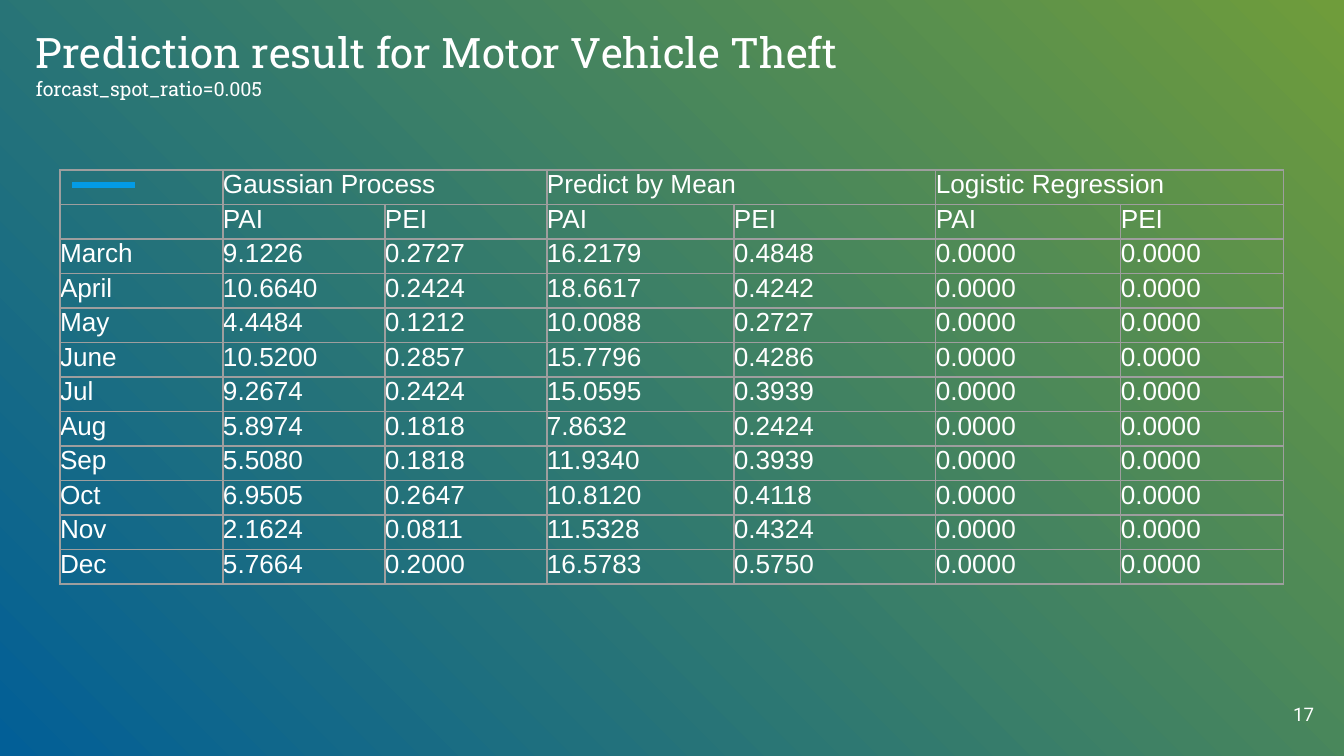
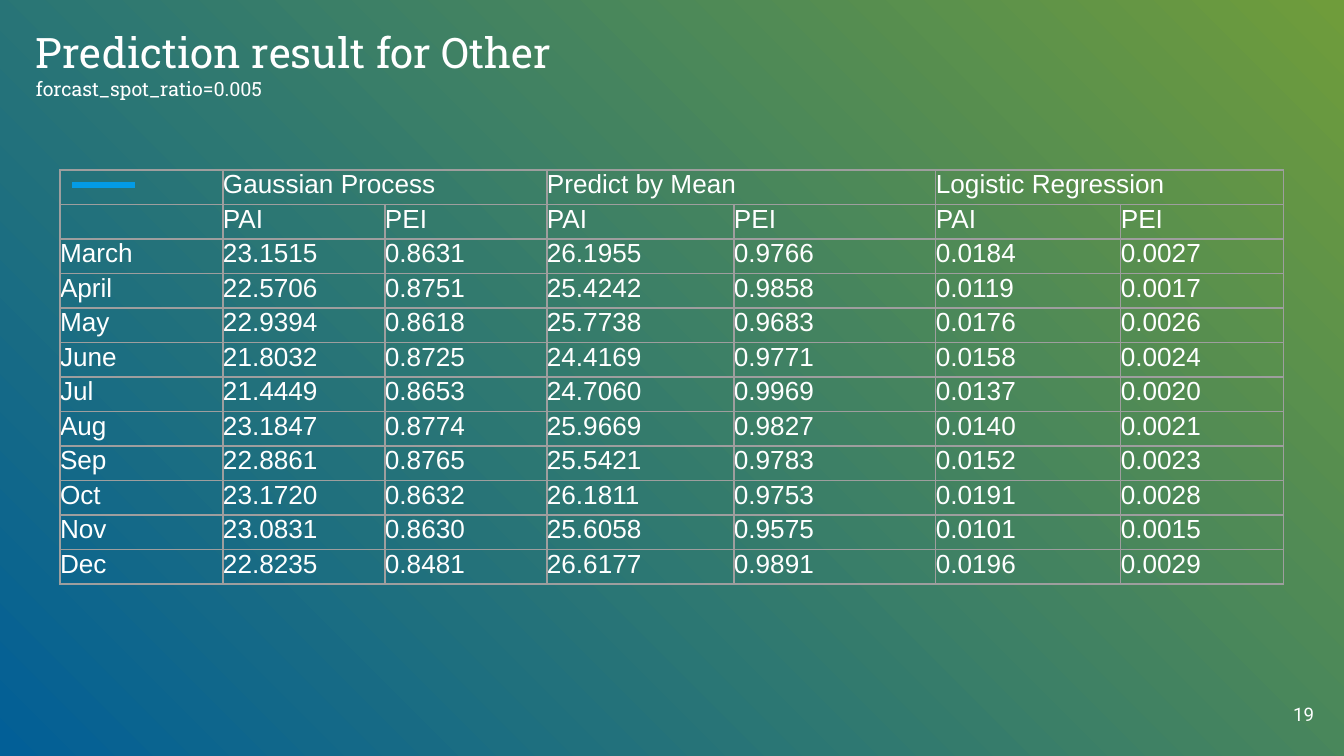
from lxml.etree import SubElement
from pptx import Presentation
from pptx.dml.color import RGBColor
from pptx.enum.shapes import MSO_CONNECTOR
from pptx.enum.text import MSO_ANCHOR, MSO_AUTO_SIZE, PP_ALIGN
from pptx.oxml.ns import qn
from pptx.util import Pt

EMU_PER_PX = 914400 / 134.4
COLUMN_WIDTHS = [163, 162, 162, 187, 202, 185, 163]
METHODS = ["Gaussian Process", "Predict by Mean", "Logistic Regression"]
MONTHS = ["March", "April", "May", "June", "Jul", "Aug", "Sep", "Oct", "Nov", "Dec"]

THEFT_SCORES = """
9.1226 0.2727 16.2179 0.4848 0.0000 0.0000
10.6640 0.2424 18.6617 0.4242 0.0000 0.0000
4.4484 0.1212 10.0088 0.2727 0.0000 0.0000
10.5200 0.2857 15.7796 0.4286 0.0000 0.0000
9.2674 0.2424 15.0595 0.3939 0.0000 0.0000
5.8974 0.1818 7.8632 0.2424 0.0000 0.0000
5.5080 0.1818 11.9340 0.3939 0.0000 0.0000
6.9505 0.2647 10.8120 0.4118 0.0000 0.0000
2.1624 0.0811 11.5328 0.4324 0.0000 0.0000
5.7664 0.2000 16.5783 0.5750 0.0000 0.0000
"""

OTHER_SCORES = """
23.1515 0.8631 26.1955 0.9766 0.0184 0.0027
22.5706 0.8751 25.4242 0.9858 0.0119 0.0017
22.9394 0.8618 25.7738 0.9683 0.0176 0.0026
21.8032 0.8725 24.4169 0.9771 0.0158 0.0024
21.4449 0.8653 24.7060 0.9969 0.0137 0.0020
23.1847 0.8774 25.9669 0.9827 0.0140 0.0021
22.8861 0.8765 25.5421 0.9783 0.0152 0.0023
23.1720 0.8632 26.1811 0.9753 0.0191 0.0028
23.0831 0.8630 25.6058 0.9575 0.0101 0.0015
22.8235 0.8481 26.6177 0.9891 0.0196 0.0029
"""


def px(length):
    return round(length * EMU_PER_PX)


def color(hex_string):
    return RGBColor.from_string(hex_string)


class ResultDeck:
    white, accent, grid = "FFFFFF", "039BE5", "9E9E9E"
    gradient = ["025F97", "6F9C3B"]
    title_font, number_font, table_font = "Roboto Slab", "Roboto", "Arial"

    def __init__(self):
        self.deck = Presentation()
        self.deck.slide_width = px(1344)
        self.deck.slide_height = px(756)
        self.slide = None

    def start_slide(self):
        self.slide = self.deck.slides.add_slide(self.deck.slide_layouts[6])
        fill = self.slide.background.fill
        fill.gradient()
        fill.gradient_angle = 45
        for stop, shade in zip(fill.gradient_stops, self.gradient):
            stop.color.rgb = color(shade)

    def run(self, paragraph, text, font, size):
        run = paragraph.add_run()
        run.text = text
        run.font.name = font
        run.font.size = Pt(size)
        run.font.color.rgb = color(self.white)

    def text_frame(self, left, top, width, height, anchor):
        box = self.slide.shapes.add_textbox(px(left), px(top), px(width), px(height))
        frame = box.text_frame
        frame.margin_left = frame.margin_right = px(13)
        frame.margin_top = frame.margin_bottom = px(13)
        frame.vertical_anchor = anchor
        frame.word_wrap = True
        return frame

    def accent_line(self):
        dash = self.slide.shapes.add_connector(
            MSO_CONNECTOR.STRAIGHT, px(72), px(185), px(135), px(185))
        dash.line.color.rgb = color(self.accent)
        dash.line.width = Pt(3)
        SubElement(dash._element.spPr, qn("a:effectLst"))

    def title(self, heading, subtitle):
        frame = self.text_frame(23, 12, 1230, 101, MSO_ANCHOR.BOTTOM)
        self.run(frame.paragraphs[0], heading, self.title_font, 22.5)
        self.run(frame.add_paragraph(), subtitle, self.title_font, 10.5)

    def page_number(self, number):
        frame = self.text_frame(1277, 689, 50, 50, MSO_ANCHOR.MIDDLE)
        frame.word_wrap = False
        frame.auto_size = MSO_AUTO_SIZE.SHAPE_TO_FIT_TEXT
        frame.paragraphs[0].alignment = PP_ALIGN.RIGHT
        self.run(frame.paragraphs[0], str(number), self.number_font, 10)

    def cell(self, cell, text):
        cell.margin_left = cell.margin_right = 0
        cell.margin_top = cell.margin_bottom = 0
        properties = cell._tc.get_or_add_tcPr()
        for side in "LRTB":
            border = SubElement(properties, qn(f"a:ln{side}"), w=str(Pt(0.75)))
            solid = SubElement(border, qn("a:solidFill"))
            SubElement(solid, qn("a:srgbClr"), val=self.grid)
        cell.fill.background()
        paragraph = cell.text_frame.paragraphs[0]
        if text:
            self.run(paragraph, text, self.table_font, 14)
        else:
            SubElement(paragraph._p, qn("a:endParaRPr"), sz="1400")

    def score_table(self, scores):
        method_row = [""]
        for method in METHODS:
            method_row += [method, ""]
        rows = [method_row, [""] + ["PAI", "PEI"] * len(METHODS)]
        for month, line in zip(MONTHS, scores.strip().splitlines()):
            rows.append([month] + line.split())
        table = self.slide.shapes.add_table(
            len(rows), len(COLUMN_WIDTHS),
            px(60), px(170), px(sum(COLUMN_WIDTHS)), px(414)).table
        table.first_row = table.horz_banding = False
        for column, width in zip(table.columns, COLUMN_WIDTHS):
            column.width = px(width)
        for row_index, row in enumerate(rows):
            for column_index, text in enumerate(row):
                self.cell(table.cell(row_index, column_index), text)
        for first in range(1, len(COLUMN_WIDTHS), 2):
            table.cell(0, first).merge(table.cell(0, first + 1))

    def result_slide(self, crime, number, scores):
        self.start_slide()
        self.accent_line()
        self.title(f"Prediction result for {crime}", "forcast_spot_ratio=0.005")
        self.page_number(number)
        self.score_table(scores)


def main():
    results = ResultDeck()
    results.result_slide("Motor Vehicle Theft", 17, THEFT_SCORES)
    results.result_slide("Other", 19, OTHER_SCORES)
    results.deck.save("out.pptx")


if __name__ == "__main__":
    main()
